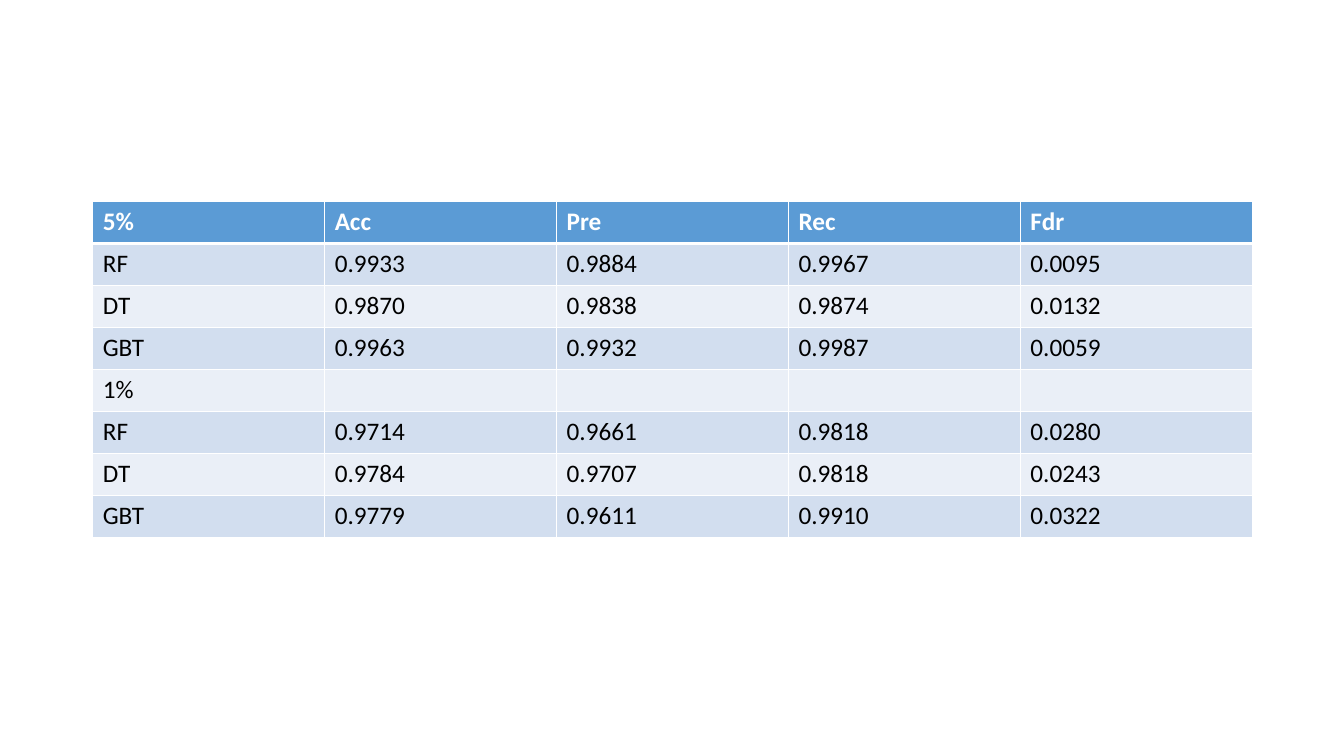
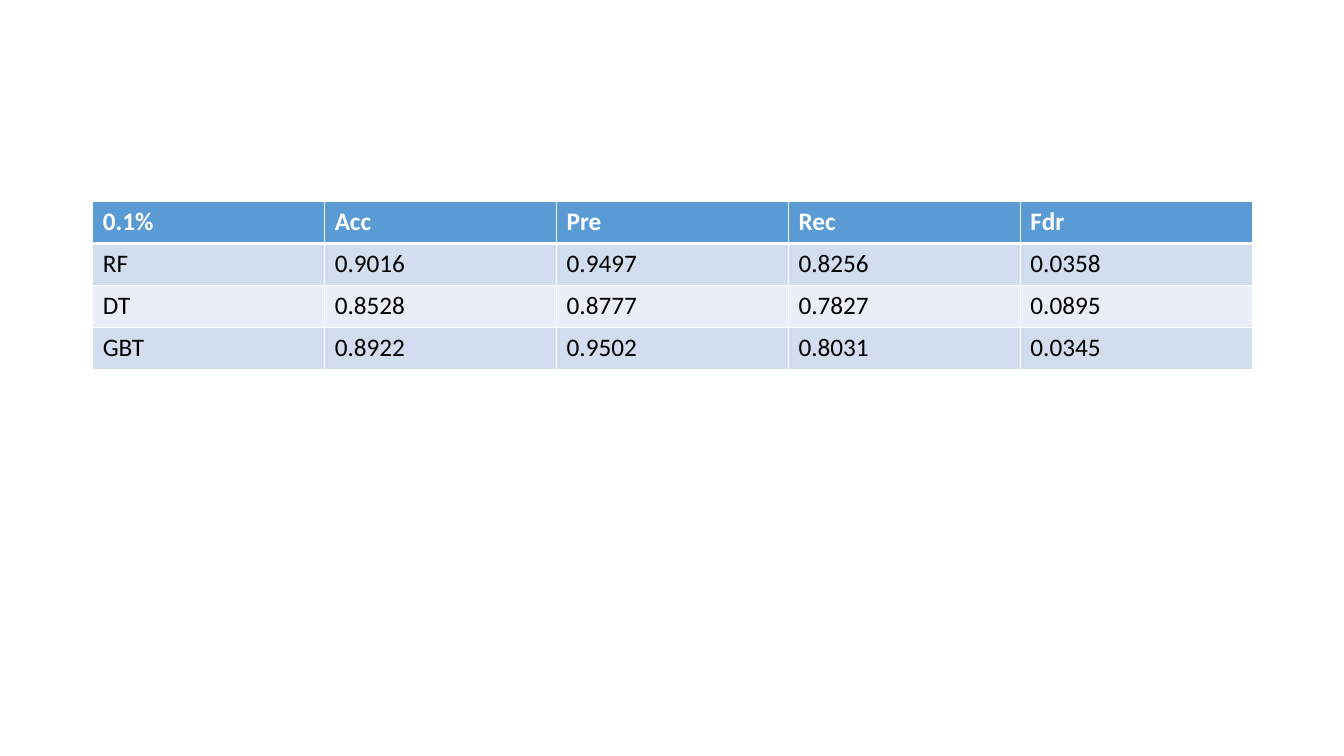
from dataclasses import dataclass

from lxml.etree import SubElement as Sub
from pptx import Presentation
from pptx.dml.color import RGBColor
from pptx.oxml.ns import qn
from pptx.presentation import Presentation as Deck
from pptx.table import _Cell as Cell
from pptx.util import Inches, Pt

WHITE = RGBColor(0xFF, 0xFF, 0xFF)
BLACK = RGBColor(0x00, 0x00, 0x00)
BLUE = RGBColor(0x5B, 0x9B, 0xD5)
BANDS = (RGBColor(0xEA, 0xEF, 0xF7), RGBColor(0xD2, 0xDE, 0xEF))

LEFT, TOP, WIDTH = Inches(0.92), Inches(2), Inches(11.5)
ROW_H = Inches(1.25) // 3  # three rows fill 1.25 inches
THIN, THICK = Pt(1), Pt(3)

BASE = {"name": "Calibri", "size": Pt(18)}
HEAD = {**BASE, "bold": True}
BODY = {**BASE, "bold": False}
METRICS = ("Acc", "Pre", "Rec", "Fdr")


@dataclass(frozen=True)
class Group:
    """Scores of the models at one sample rate."""

    rate: str
    scores: dict[str, tuple[str, ...]]


SLIDES = (
    (
        Group("5%", {
            "RF": ("0.9933", "0.9884", "0.9967", "0.0095"),
            "DT": ("0.9870", "0.9838", "0.9874", "0.0132"),
            "GBT": ("0.9963", "0.9932", "0.9987", "0.0059"),
        }),
        Group("1%", {
            "RF": ("0.9714", "0.9661", "0.9818", "0.0280"),
            "DT": ("0.9784", "0.9707", "0.9818", "0.0243"),
            "GBT": ("0.9779", "0.9611", "0.9910", "0.0322"),
        }),
    ),
    (
        Group("0.1%", {
            "RF": ("0.9016", "0.9497", "0.8256", "0.0358"),
            "DT": ("0.8528", "0.8777", "0.7827", "0.0895"),
            "GBT": ("0.8922", "0.9502", "0.8031", "0.0345"),
        }),
    ),
)


def list_rows(groups: tuple[Group, ...]) -> list[tuple[str, ...]]:
    """Turn groups into rows; only the first names the metrics."""
    rows = []
    for group in groups:
        rows.append((group.rate, *(("",) * len(METRICS) if rows else METRICS)))
        rows += [(model, *vals) for model, vals in group.scores.items()]
    return rows


def set_edges(cell: Cell, top: int, base: int) -> None:
    """Draw the white lines around a cell."""
    props = cell._tc.get_or_add_tcPr()
    widths = {"lnL": THIN, "lnR": THIN, "lnT": top, "lnB": base}
    for tag, width in widths.items():
        line = Sub(props, qn(f"a:{tag}"), w=str(int(width)))
        fill = Sub(line, qn("a:solidFill"))
        Sub(fill, qn("a:srgbClr"), val=str(WHITE))


def fill_cell(cell: Cell, text: str, row: int) -> None:
    """Write and style a cell by its row number."""
    head = row == 0
    set_edges(cell, THICK if row == 1 else THIN, THICK if head else THIN)
    cell.fill.solid()
    cell.fill.fore_color.rgb = BLUE if head else BANDS[row % 2]
    if not text:
        return
    run = cell.text_frame.paragraphs[0].add_run()
    run.text = text
    for key, val in (HEAD if head else BODY).items():
        setattr(run.font, key, val)
    run.font.color.rgb = WHITE if head else BLACK


def add_scores(deck: Deck, groups: tuple[Group, ...]) -> None:
    """Add a slide with one table of scores."""
    slide = deck.slides.add_slide(deck.slide_layouts[6])
    rows = list_rows(groups)
    count = len(rows)
    frame = slide.shapes.add_table(
        count, len(rows[0]), LEFT, TOP, WIDTH, ROW_H * count)
    for r, row in enumerate(rows):
        for c, text in enumerate(row):
            fill_cell(frame.table.cell(r, c), text, r)


def main() -> None:
    """Build and save the deck."""
    deck = Presentation()
    deck.slide_width, deck.slide_height = Inches(13.33), Inches(7.5)
    for groups in SLIDES:
        add_scores(deck, groups)
    deck.save("out.pptx")


main()
